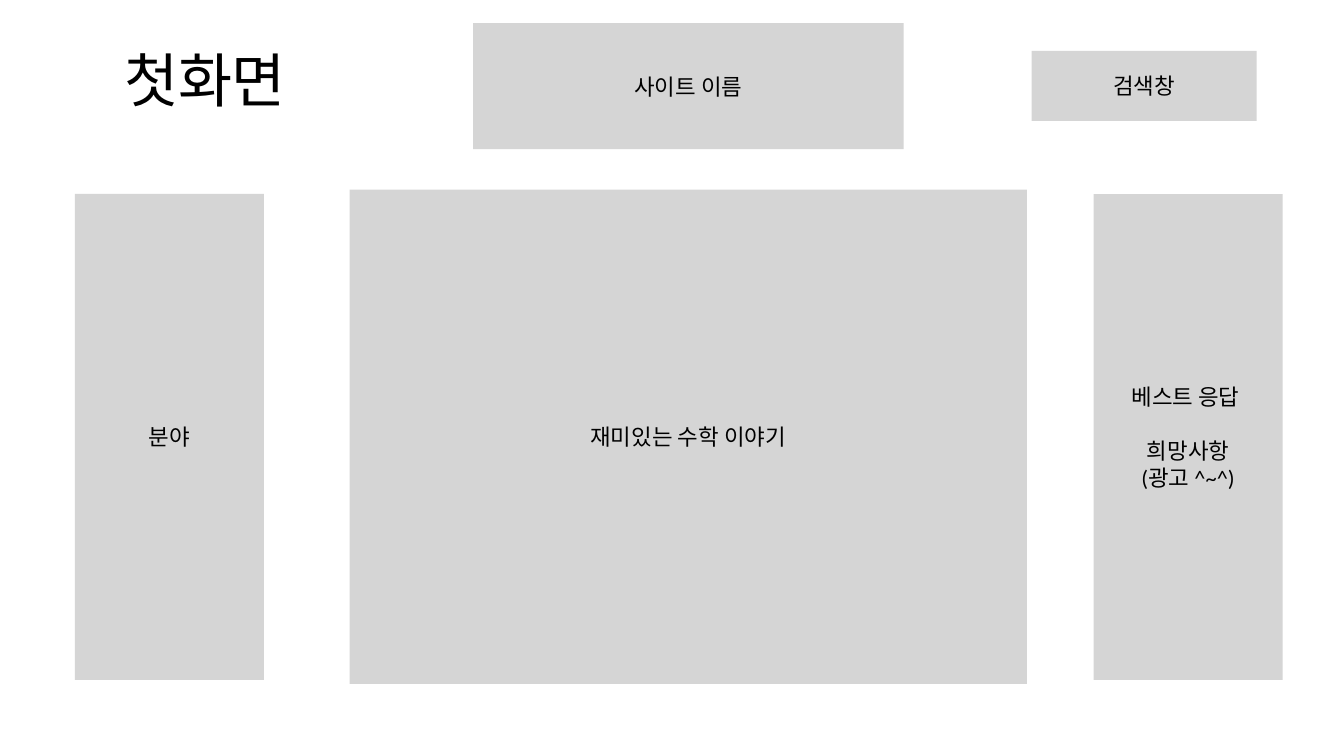
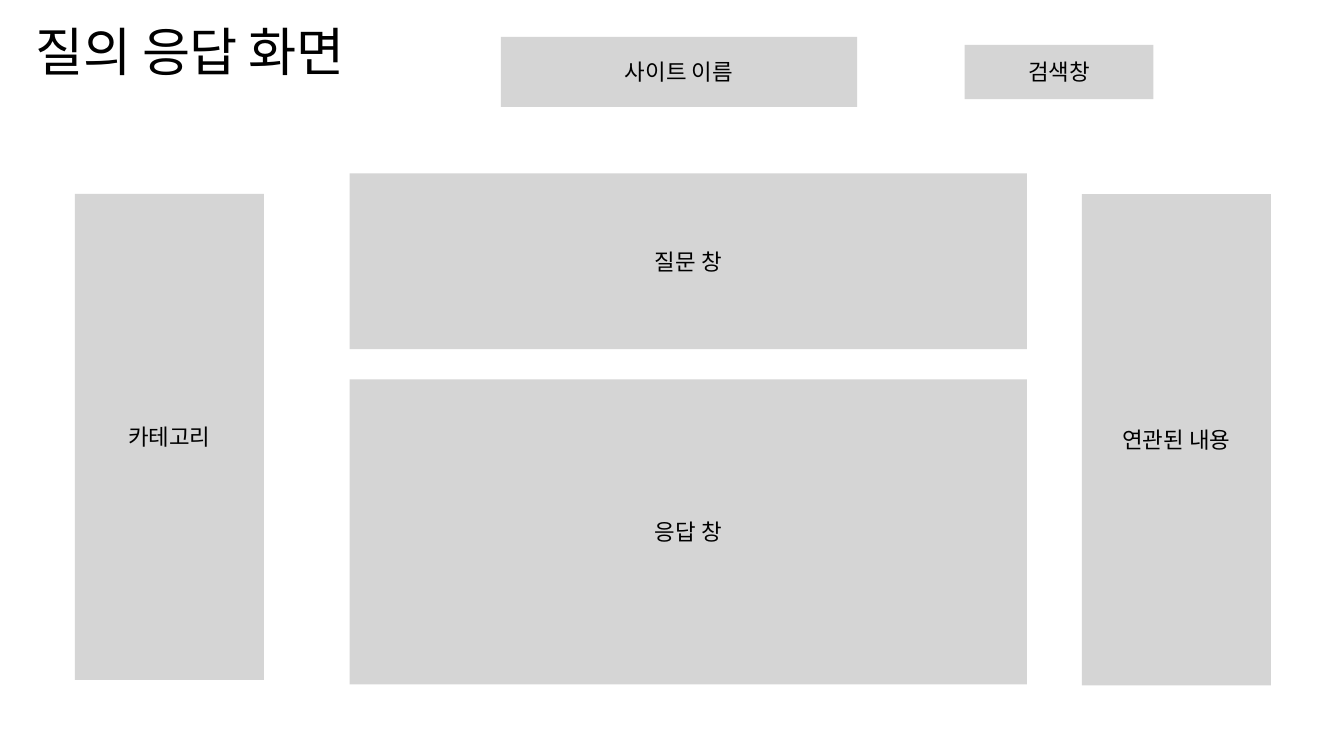
from dataclasses import dataclass

from pptx import Presentation
from pptx.dml.color import RGBColor
from pptx.enum.shapes import MSO_SHAPE as Preset
from pptx.enum.text import MSO_ANCHOR as Anchor, PP_ALIGN as Align
from pptx.util import Inches, Pt

SLIDE_WIDTH, SLIDE_HEIGHT = Inches(26.67), Inches(15)
COLUMN, ROW = SLIDE_WIDTH / 100, SLIDE_HEIGHT / 100
PANEL, INK, PAPER = "D5D5D5", "000000", "FFFFFF"
FONT = "Calibri"
LABEL_SIZE = 32
BLANK_LINE = 38.5
SIDEBAR_COLS, SIDEBAR_ROWS = 14.06, 64.27
CENTRE_COL, CENTRE_COLS = 26.02, 50.38
SEARCH_ROWS = 9.27


@dataclass
class Box:
    col: float
    row: float
    cols: float
    rows: float

    def area(self, col, row, cols, rows):
        return Box(self.col + col, self.row + row, cols, rows)

    def emu(self):
        return (round(self.col * COLUMN), round(self.row * ROW),
                round(self.cols * COLUMN), round(self.rows * ROW))


HEADER = Box(0, 0, 100, 22.93)
BODY = Box(0, 22.93, 100, 67.74)


def colour(value):
    return RGBColor.from_string(value)


def write(frame, text, size=LABEL_SIZE, anchor=Anchor.MIDDLE, leading=None,
          tracking=None, gaps=None):
    frame.word_wrap = True
    frame.vertical_anchor = anchor
    frame.margin_left = frame.margin_right = Inches(0.06)
    frame.margin_top = frame.margin_bottom = Inches(0.06)
    for index, line in enumerate(text.split("\n")):
        paragraph = frame.add_paragraph() if index else frame.paragraphs[0]
        paragraph.alignment = Align.CENTER
        if leading:
            paragraph.line_spacing = leading
        if gaps and index in gaps:
            paragraph.space_before = Pt(gaps[index])
        run = paragraph.add_run()
        run.text = line
        run.font.size = Pt(size)
        run.font.name = FONT
        run.font.color.rgb = colour(INK)
        if tracking:
            run._r.get_or_add_rPr().set("spc", str(round(tracking * 100)))


def add_panel(slide, box, label, **text_format):
    panel = slide.shapes.add_shape(Preset.RECTANGLE, *box.emu())
    panel.shadow.inherit = False
    panel.fill.solid()
    panel.fill.fore_color.rgb = colour(PANEL)
    panel.line.fill.background()
    write(panel.text_frame, label, **text_format)


def add_title(slide, box, title, size, tracking):
    heading = slide.shapes.add_textbox(*box.emu())
    write(heading.text_frame, title, size=size, anchor=Anchor.TOP,
          leading=0.8, tracking=tracking)


def add_header(slide, box, site, search):
    add_panel(slide, box.area(*site), "사이트 이름")
    add_panel(slide, box.area(*search), "검색창")


def add_body(slide, box, category, centre, side, side_col, side_rows, gaps=None):
    add_panel(slide, box.area(5.57, 2.72, SIDEBAR_COLS, SIDEBAR_ROWS), category)
    for label, row, rows in centre:
        add_panel(slide, box.area(CENTRE_COL, row, CENTRE_COLS, rows), label)
    add_panel(slide, box.area(side_col, 2.74, SIDEBAR_COLS, side_rows), side,
              gaps=gaps)


def new_slide(deck):
    slide = deck.slides.add_slide(deck.slide_layouts[6])
    slide.background.fill.solid()
    slide.background.fill.fore_color.rgb = colour(PAPER)
    return slide


def build_first_screen(deck):
    slide = new_slide(deck)
    add_header(slide, HEADER, site=(35.21, 3.07, 32.02, 16.67),
               search=(76.75, 6.73, 16.76, SEARCH_ROWS))
    add_body(slide, BODY, "분야", [("재미있는 수학 이야기", 2.14, 65.4)],
             "베스트 응답 \n희망사항\n(광고 ^~^)", 81.37, SIDEBAR_ROWS,
             gaps={1: BLANK_LINE})
    add_title(slide, HEADER.area(-4.72, 7.2, 40, 11.4), "첫화면", 84, -0.8)


def build_answer_screen(deck):
    slide = new_slide(deck)
    add_title(slide, HEADER.area(-5.85, 3.8, 40, 11.4), "질의 응답 화면", 74.8, -0.7)
    add_header(slide, HEADER, site=(37.27, 4.87, 26.51, SEARCH_ROWS),
               search=(71.77, 5.93, SIDEBAR_COLS, 7.2))
    add_body(slide, BODY, "카테고리",
             [("질문 창", 0, 23.27), ("응답 창", 27.27, 40.33)],
             "연관된 내용", 80.5, 65)


def main():
    deck = Presentation()
    deck.slide_width, deck.slide_height = SLIDE_WIDTH, SLIDE_HEIGHT
    build_first_screen(deck)
    build_answer_screen(deck)
    deck.save("out.pptx")


if __name__ == "__main__":
    main()
